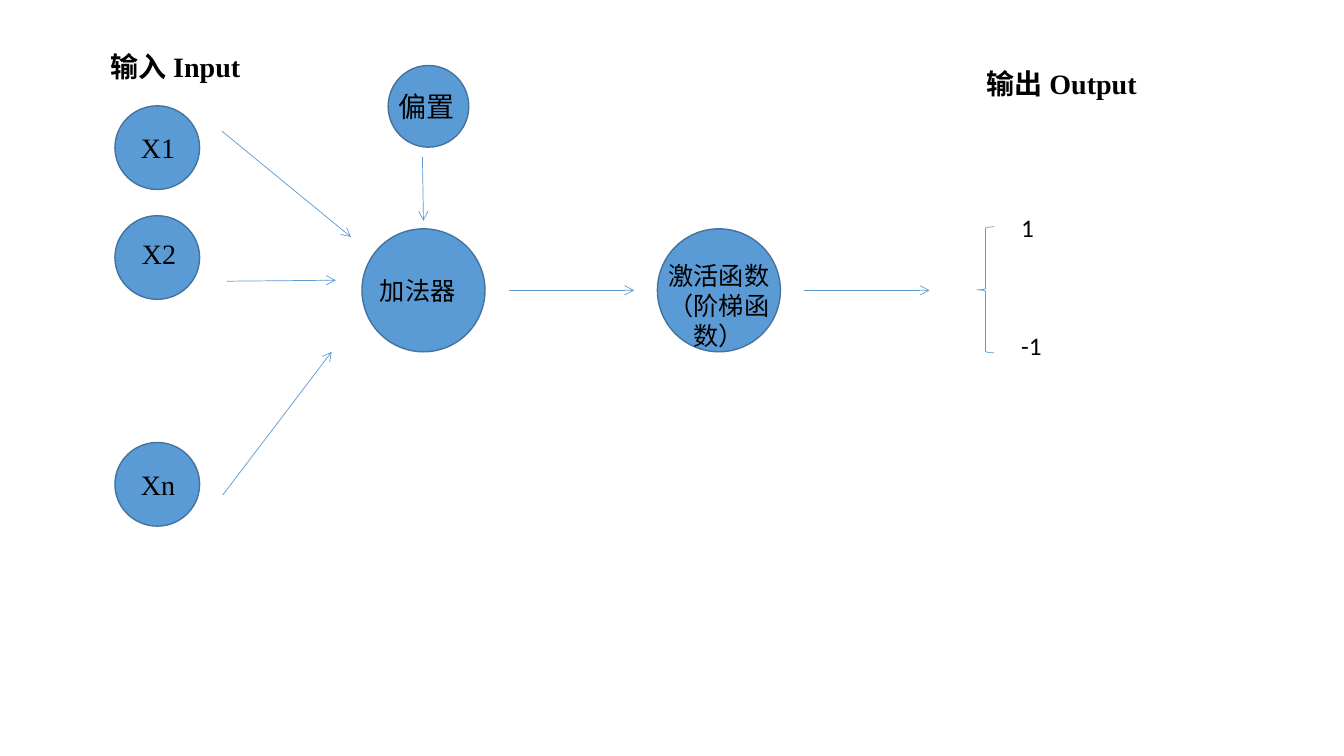
from typing import NamedTuple

from lxml.etree import SubElement
from pptx import Presentation
from pptx.dml.color import RGBColor
from pptx.enum.shapes import MSO_CONNECTOR, MSO_SHAPE
from pptx.enum.text import MSO_AUTO_SIZE, PP_ALIGN
from pptx.oxml.ns import qn
from pptx.util import Emu, Pt

BLUE = RGBColor(0x5B, 0x9B, 0xD5)
DARK_BLUE = RGBColor(0x43, 0x73, 0x9E)
BLACK = RGBColor(0, 0, 0)
SERIF = "Times New Roman"
SANS = "Calibri"


class Node(NamedTuple):
    x: int
    y: int
    w: int
    h: int


class Arrow(NamedTuple):
    x1: int
    y1: int
    x2: int
    y2: int


class Label(NamedTuple):
    text: str
    x: int
    y: int
    w: int
    h: int
    size: int = 20
    font: str = SERIF
    bold: bool = False
    align: PP_ALIGN = PP_ALIGN.LEFT


NODES = [
    *(Node(114, y, 84, 83) for y in (105, 214, 439)),  # inputs
    *(Node(x, 227, 122, 122) for x in (359, 652)),  # adder, activation
    Node(385, 65, 80, 81),  # bias
]

ARROWS = [
    Arrow(220, 130, 348, 235),
    Arrow(225, 279, 333, 278),
    Arrow(221, 491, 329, 349),
    Arrow(505, 288, 629, 288),
    Arrow(797, 288, 922, 288),
    Arrow(419, 156, 420, 219),
]

LABELS = [
    Label("输入 Input", 100, 44, 216, 44, bold=True),
    Label("输出 Output", 969, 61, 216, 44, bold=True),
    Label("X1", 130, 125, 60, 44),
    Label("X2", 131, 230, 62, 44),
    Label("Xn", 130, 459, 60, 44),
    Label("偏置", 385, 84, 88, 44),
    Label("加法器", 367, 268, 150, 40, 18, SANS),
    Label("激活函数\n（阶梯函数）", 638, 253, 150, 71, 18, SANS,
          align=PP_ALIGN.CENTER),
    Label("1", 1003, 206, 98, 40, 18, SANS),
    Label("-1", 1003, 323, 98, 40, 18, SANS),
]


def px(n: int) -> Emu:
    """One px is a hundredth of an inch."""
    return Emu(n * 9144)


def add_node(s, node: Node) -> None:
    sp = s.shapes.add_shape(MSO_SHAPE.OVAL, *map(px, node))
    sp.shadow.inherit = False
    sp.fill.solid()
    sp.fill.fore_color.rgb = BLUE
    sp.line.color.rgb = DARK_BLUE
    sp.line.width = Pt(1)


def add_arrow(s, arrow: Arrow) -> None:
    cxn = s.shapes.add_connector(MSO_CONNECTOR.STRAIGHT, *map(px, arrow))
    cxn.line.color.rgb = BLUE
    cxn.line.width = Pt(0.5)
    SubElement(cxn.line._get_or_add_ln(), qn("a:tailEnd"), type="arrow")
    SubElement(cxn._element.spPr, qn("a:effectLst"))


def add_brace(s, x: int, y: int, w: int, h: int) -> None:
    sp = s.shapes.add_shape(MSO_SHAPE.LEFT_BRACE, px(x), px(y), px(w), px(h))
    sp.shadow.inherit = False
    sp.fill.background()
    sp.line.color.rgb = BLUE
    sp.line.width = Pt(0.5)


def add_label(s, label: Label) -> None:
    sp = s.shapes.add_textbox(px(label.x), px(label.y), px(label.w), px(label.h))
    tf = sp.text_frame
    tf.word_wrap = True
    tf.auto_size = MSO_AUTO_SIZE.SHAPE_TO_FIT_TEXT
    tf.text = label.text
    for p in tf.paragraphs:
        p.alignment = label.align
        for r in p.runs:
            r.font.name = label.font
            r.font.size = Pt(label.size)
            r.font.bold = label.bold
            r.font.color.rgb = BLACK


def main() -> None:
    prs = Presentation()
    prs.slide_width, prs.slide_height = px(1333), px(750)
    s = prs.slides.add_slide(prs.slide_layouts[6])

    # Neurons and signal flow
    for node in NODES:
        add_node(s, node)
    for arrow in ARROWS:
        add_arrow(s, arrow)

    # Output values
    add_brace(s, 969, 225, 17, 125)

    # Headings and captions
    for label in LABELS:
        add_label(s, label)

    prs.save("out.pptx")


if __name__ == "__main__":
    main()
